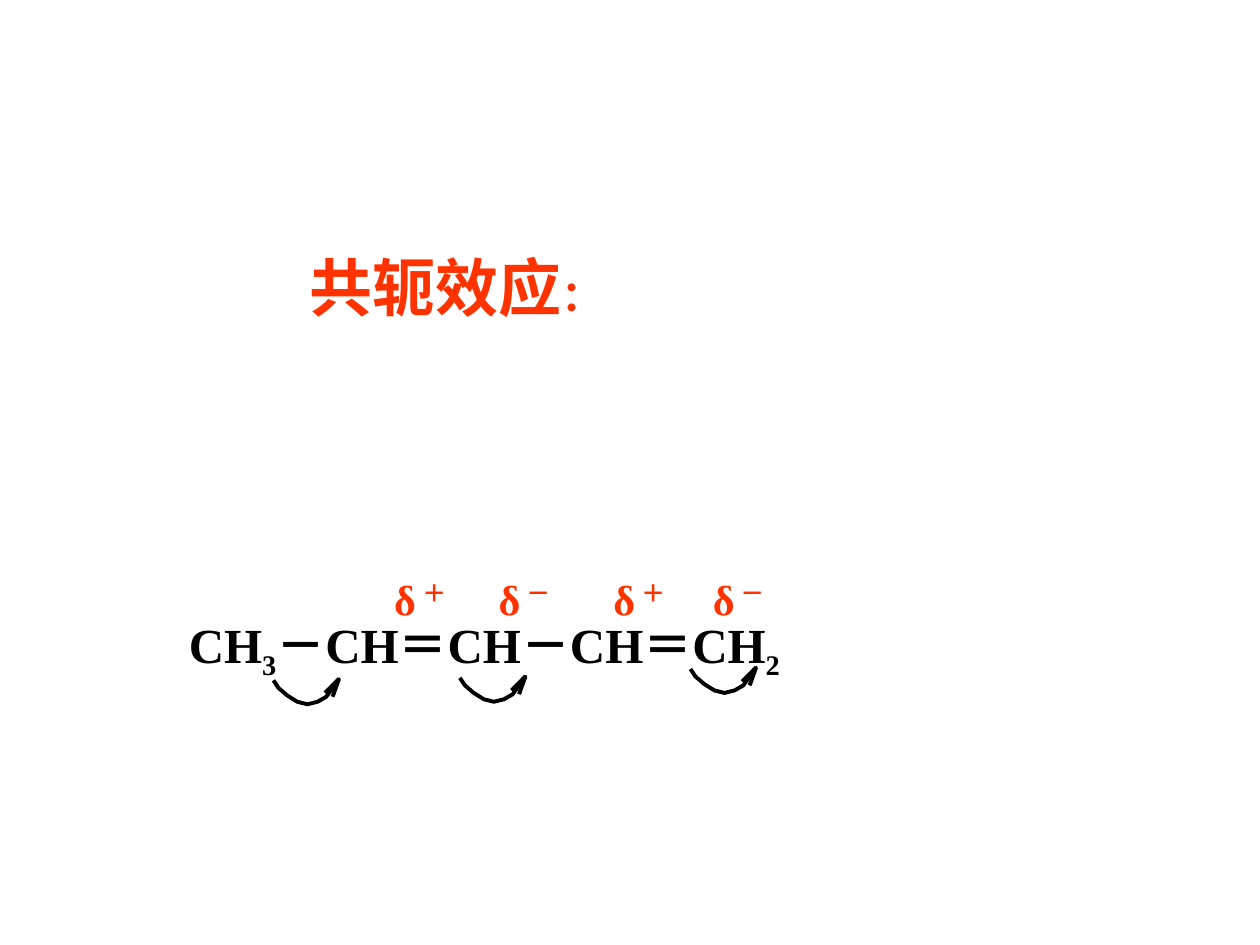
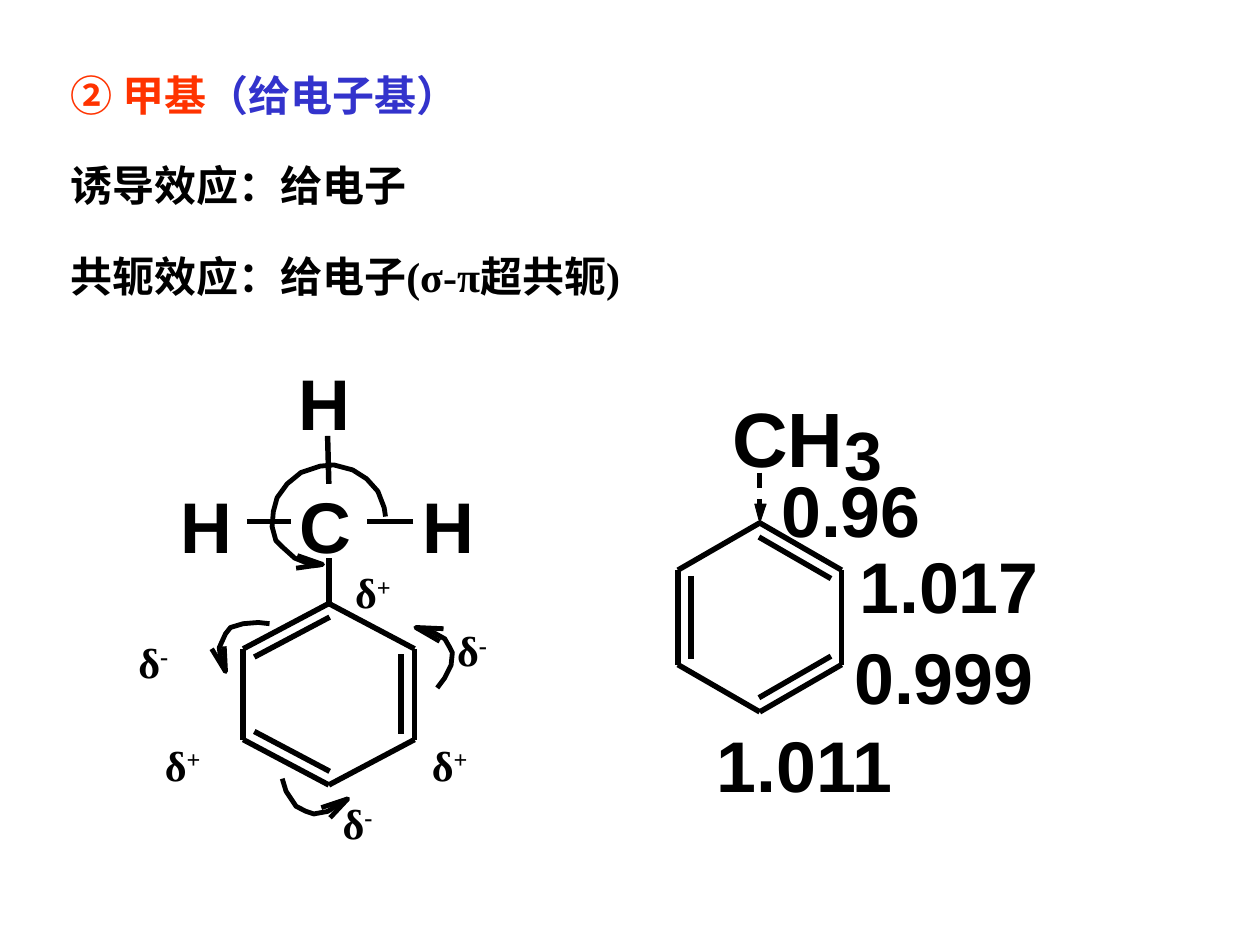
from pptx import Presentation
from pptx.dml.color import RGBColor
from pptx.enum.shapes import MSO_CONNECTOR
from pptx.enum.text import MSO_ANCHOR, MSO_AUTO_SIZE, PP_ALIGN
from pptx.oxml.ns import qn
from pptx.util import Inches, Pt
from lxml.etree import SubElement

BLACK = RGBColor(0x00, 0x00, 0x00)
ORANGE = RGBColor(0xFF, 0x33, 0x00)
BLUE = RGBColor(0x33, 0x33, 0xCC)
SERIF = "Times New Roman"
SANS = "Arial"
TITLE_ONLY = 5
SUBSCRIPT = -25
SUPERSCRIPT = 30
BOND_WIDTH = 3.12
SHIFT_CURVE = [(0, 0.01), (0.04, 0.07), (0.11, 0.13), (0.19, 0.18), (0.27, 0.2), (0.35, 0.18),
               (0.42, 0.14), (0.47, 0.07), (0.5, 0.02), (0.52, 0)]
SHIFT_HEAD = [(0.41, 0.11), (0.52, 0), (0.47, 0.14)]


def write_text(paragraph, text, size=24, font=SERIF, color=BLACK, baseline=0):
    """Append one bold run with its format to a paragraph."""
    run = paragraph.add_run()
    run.text = text
    run.font.name = font
    run.font.size = Pt(size)
    run.font.bold = True
    run.font.color.rgb = color
    if baseline:
        run._r.get_or_add_rPr().set("baseline", str(baseline * 1000))


def prepare_frame(shape, inset=True, wrap=False):
    """Give a text shape its margins and anchor and return its first paragraph."""
    frame = shape.text_frame
    frame.word_wrap = wrap
    frame.auto_size = MSO_AUTO_SIZE.NONE
    frame.vertical_anchor = MSO_ANCHOR.TOP
    frame.margin_left = frame.margin_right = Inches(0.1 if inset else 0)
    frame.margin_top = frame.margin_bottom = Inches(0.05 if inset else 0)
    return frame.paragraphs[0]


def add_text(slide, box, runs, inset=True, **text_format):
    """Add a text box whose runs are pairs of text and baseline offset."""
    shape = slide.shapes.add_textbox(*map(Inches, box))
    paragraph = prepare_frame(shape, inset)
    for text, baseline in runs:
        write_text(paragraph, text, baseline=baseline, **text_format)
    return shape


def add_title(slide, box, runs, alignment):
    """Place the title and write its runs of text, size and colour."""
    title = slide.shapes.title
    title.left, title.top, title.width, title.height = map(Inches, box)
    paragraph = prepare_frame(title, wrap=True)
    paragraph.alignment = alignment
    for text, size, color in runs:
        write_text(paragraph, text, size=size, color=color)


def add_line(slide, origin, start, end):
    """Draw a straight bond between two points relative to an origin."""
    (left, top), (x1, y1), (x2, y2) = origin, start, end
    line = slide.shapes.add_connector(
        MSO_CONNECTOR.STRAIGHT,
        Inches(left + x1), Inches(top + y1), Inches(left + x2), Inches(top + y2))
    line.line.color.rgb = BLACK
    line.line.width = Pt(BOND_WIDTH)
    SubElement(line._element.spPr, qn("a:effectLst"))


def add_outline(slide, origin, points, width, closed=False):
    """Draw an open stroke, or a filled polygon when closed."""
    left, top = origin
    corners = [(Inches(left + x), Inches(top + y)) for x, y in points]
    builder = slide.shapes.build_freeform(*corners[0])
    builder.add_line_segments(corners[1:], close=closed)
    shape = builder.convert_to_shape()
    shape.shadow.inherit = False
    shape.line.color.rgb = BLACK
    shape.line.width = Pt(width)
    if closed:
        shape.fill.solid()
        shape.fill.fore_color.rgb = BLACK
    else:
        shape.fill.background()


def add_curved_arrow(slide, origin, curve, head, width=2.75):
    """Draw an electron-shift arrow from its curve and its open head."""
    for points in (curve, head):
        add_outline(slide, origin, points, width)


def add_ring(slide, center, half_width, half_height, mirror=1):
    """Draw a benzene ring with three inner bonds, flipped when mirror is -1."""
    def scale(point):
        return point[0] * half_width * mirror, point[1] * half_height

    corners = [(0, -1), (1, -0.5), (1, 0.5), (0, 1), (-1, 0.5), (-1, -0.5)]
    inner_bonds = [((0.84, -0.44), (0.84, 0.44)),
                   ((-0.87, -0.41), (0.01, -0.85)),
                   ((-0.87, 0.41), (0.01, 0.85))]
    for start, end in [*zip(corners, corners[1:] + corners[:1]), *inner_bonds]:
        add_line(slide, center, scale(start), scale(end))


def add_diene(slide, left, top):
    """Draw the conjugated chain with partial charges and electron shifts."""
    add_text(slide, (left, top + 0.33, 5.64, 0.63),
             [("CH", 0), ("3", SUBSCRIPT), ("－CH＝CH－CH＝CH", 0), ("2", SUBSCRIPT)], size=28)
    for x, sign in [(1.63, "＋"), (2.46, "－"), (3.37, "＋"), (4.16, "－")]:
        add_text(slide, (left + x, top, 0.7, 0.5), [("δ", 0), (" " + sign, SUPERSCRIPT)],
                 color=ORANGE)
    for x, y in [(0.77, 0.89), (2.25, 0.87), (4.08, 0.8)]:
        add_curved_arrow(slide, (left + x, top + y), SHIFT_CURVE, SHIFT_HEAD, width=2.25)


def add_effects(slide, left, top):
    """List the inductive and conjugative effects."""
    shape = add_text(slide, (left, top, 4.8, 1.22), [("诱导效应：给电子", 0)])
    paragraph = shape.text_frame.add_paragraph()
    paragraph.space_before = Pt(23)
    write_text(paragraph, "共轭效应：给电子(σ-π超共轭)")


def add_hyperconjugation(slide, left, top):
    """Draw toluene with its C-H bonds, charges and electron shifts."""
    origin = (left, top)
    arrows = [
        ([(2.47, 2.61), (2.53, 2.53), (2.58, 2.43), (2.59, 2.33), (2.57, 2.29), (2.53, 2.22),
          (2.44, 2.17), (2.3, 2.13)],
         [(2.49, 2.24), (2.3, 2.13), (2.52, 2.14)]),
        ([(1.24, 3.33), (1.27, 3.43), (1.35, 3.55), (1.43, 3.59), (1.49, 3.61), (1.6, 3.59),
          (1.71, 3.52), (1.76, 3.49)],
         [(1.55, 3.56), (1.76, 3.49), (1.62, 3.64)]),
        ([(1.14, 2.1), (1.05, 2.09), (0.93, 2.1), (0.83, 2.13), (0.79, 2.18), (0.74, 2.29),
          (0.75, 2.36), (0.79, 2.48)],
         [(0.78, 2.28), (0.79, 2.48), (0.68, 2.3)]),
        ([(2.06, 1.25), (2.05, 1.18), (2, 1.05), (1.91, 0.95), (1.8, 0.88), (1.65, 0.84),
          (1.54, 0.85), (1.39, 0.9), (1.28, 0.99), (1.2, 1.1), (1.17, 1.21), (1.16, 1.33),
          (1.19, 1.44), (1.24, 1.49), (1.34, 1.58), (1.49, 1.64), (1.56, 1.63)],
         [(1.36, 1.56), (1.56, 1.63), (1.35, 1.66)]),
    ]
    for curve, head in arrows:
        add_curved_arrow(slide, origin, curve, head)
    for atom, x, y in [("C", 1.38, 0.97), ("H", 2.35, 0.97), ("H", 1.37, 0), ("H", 0.43, 0.97)]:
        add_text(slide, (left + x, top + y, 0.41, 0.68), [(atom, 0)], inset=False,
                 size=41, font=SANS)
    add_ring(slide, (left + 1.61, top + 2.66), 0.68, 0.72)
    for start, end in [((1.61, 1.58), (1.61, 1.95)), ((2.28, 1.29), (1.91, 1.29)),
                       ((1.6, 0.61), (1.61, 0.99)), ((0.96, 1.29), (1.31, 1.29))]:
        add_line(slide, origin, start, end)
    for sign, x, y in [("-", 0, 2.15), ("-", 1.62, 3.43), ("-", 2.53, 2.06),
                       ("+", 0.21, 2.97), ("+", 1.72, 1.6), ("+", 2.33, 2.97)]:
        add_text(slide, (left + x, top + y, 0.48, 0.5), [("δ", 0), (sign, SUPERSCRIPT)])


def add_electron_densities(slide, left, top):
    """Draw toluene with the electron density at each ring position."""
    labels = [("CH", 44, 0.43, 0, 0.88), ("3", 39, 1.32, 0.17, 0.3),
              ("0.96", 41, 0.82, 0.6, 1.11), ("1.017", 41, 1.44, 1.2, 1.43),
              ("0.999", 41, 1.4, 1.92, 1.43), ("1.011", 41, 0.31, 2.62, 1.43)]
    for text, size, x, y, width in labels:
        add_text(slide, (left + x, top + y, width, 0.7), [(text, 0)], inset=False,
                 size=size, font=SANS)
    add_ring(slide, (left + 0.65, top + 1.8), 0.65, 0.75, mirror=-1)
    for start, end in [(0.65, 0.77), (0.86, 0.9)]:
        add_line(slide, (left, top), (0.65, start), (0.65, end))
    add_outline(slide, (left, top), [(0.65, 1.05), (0.7, 0.9), (0.61, 0.9)], 0.5, closed=True)


def build_conjugation_slide(presentation):
    """Build the slide on the conjugative effect."""
    slide = presentation.slides.add_slide(presentation.slide_layouts[TITLE_ONLY])
    add_title(slide, (0.75, 1.92, 5.75, 0.7),
              [("共轭效应", 36, ORANGE), ("：", 24, ORANGE)], PP_ALIGN.CENTER)
    add_diene(slide, 1.4, 4.5)


def build_methyl_slide(presentation):
    """Build the slide on the methyl group."""
    slide = presentation.slides.add_slide(presentation.slide_layouts[TITLE_ONLY])
    add_title(slide, (0.46, 0.5, 4.8, 0.5),
              [("② 甲基", 24, ORANGE), ("（给电子基）", 24, BLUE)], PP_ALIGN.LEFT)
    add_effects(slide, 0.46, 1.22)
    add_electron_densities(slide, 5.38, 3.1)
    add_hyperconjugation(slide, 1, 2.85)


def main():
    """Build and save the presentation."""
    presentation = Presentation()
    presentation.slide_width = Inches(10)
    presentation.slide_height = Inches(7.5)
    build_conjugation_slide(presentation)
    build_methyl_slide(presentation)
    presentation.save("out.pptx")


if __name__ == "__main__":
    main()
